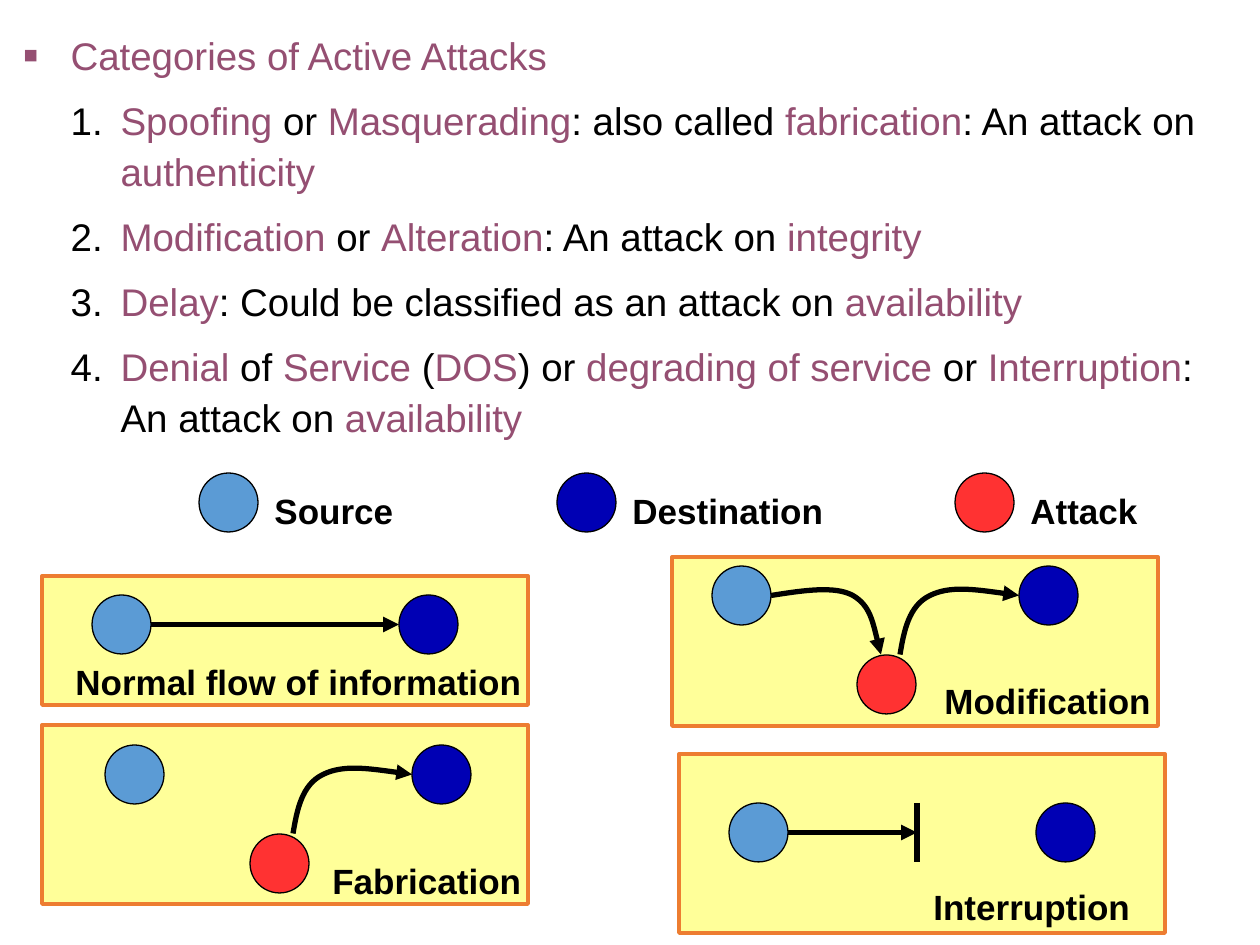
import pptx
import pptx.dml.color
import pptx.enum.shapes
import pptx.enum.text
import pptx.oxml
import pptx.oxml.ns
import pptx.util

EMU_PER_PX = 914400 / 126
FONT = "Arial"
BLACK, ACCENT = "000000", "954F72"
SOURCE, DESTINATION, ATTACK = "5B9BD5", "0000B4", "FF3232"
PANEL_FILL, PANEL_LINE = "FFFF99", "ED7D31"
CIRCLE = 59
RADIUS = CIRCLE / 2
DESTINATION_SHIFT = 307
ATTACK_SHIFT = (145, 89)
TO_ATTACK = [(0, 0), (32, -5), (64, -10), (82, 0), (99, 10), (104, 35), (110, 59)]
TO_DESTINATION = [(-119, 59), (-115, 35), (-110, 10), (-89, 0), (-69, -10), (-35, -5), (0, 0)]

HEADING = "*Categories of Active Attacks*"
ATTACKS = [
    "*Spoofing* or *Masquerading*: also called *fabrication*: An attack on *authenticity*",
    "*Modification* or *Alteration*: An attack on *integrity*",
    "*Delay*: Could be classified as an attack on *availability*",
    "*Denial* of *Service* (*DOS*) or *degrading of service* or *Interruption*: An attack on *availability*",
]
LEGEND = [(199, SOURCE, "Source", 145), (557, DESTINATION, "Destination", 218), (955, ATTACK, "Attack", 165)]


def px(*lengths):
    return [pptx.util.Emu(round(length * EMU_PER_PX)) for length in lengths]


def color(value):
    return pptx.dml.color.RGBColor.from_string(value)


def set_attributes(target, values):
    for name, value in values.items():
        setattr(target, name, value)


def add_xml(parent, markup):
    namespace = pptx.oxml.ns.nsdecls("a")
    tag, _, rest = markup.partition(" ")
    parent.append(pptx.oxml.parse_xml(f"<a:{tag} {namespace} {rest}/>"))


def add_run(paragraph, text, size, font_color, bold=False):
    run = paragraph.add_run()
    run.text = text
    set_attributes(run.font, {"name": FONT, "size": pptx.util.Pt(size), "bold": bold})
    run.font.color.rgb = color(font_color)


def format_line(shape, line_color, width, arrow=False):
    shape.line.color.rgb = color(line_color)
    shape.line.width = pptx.util.Pt(width)
    if arrow:
        add_xml(shape.element.spPr.find(pptx.oxml.ns.qn("a:ln")), 'tailEnd type="triangle"')


def add_outlined(shapes, kind, box, fill, line_color, width):
    shape = shapes.add_shape(kind, *px(*box))
    shape.shadow.inherit = False
    shape.fill.solid()
    shape.fill.fore_color.rgb = color(fill)
    format_line(shape, line_color, width)


def add_circle(shapes, left, top, fill):
    oval = pptx.enum.shapes.MSO_SHAPE.OVAL
    add_outlined(shapes, oval, (left, top, CIRCLE, CIRCLE), fill, BLACK, 0.75)


def add_label(shapes, text, left, top, width):
    frame = shapes.add_textbox(*px(left, top, width, 55)).text_frame
    frame.word_wrap = True
    add_run(frame.paragraphs[0], text, 20, BLACK, bold=True)


def add_straight(shapes, start, end, arrow=False):
    straight = pptx.enum.shapes.MSO_CONNECTOR.STRAIGHT
    connector = shapes.add_connector(straight, *px(*start, *end))
    format_line(connector, BLACK, 3, arrow)
    add_xml(connector.element.spPr, "effectLst")


def add_curve(shapes, origin, offsets):
    points = [px(origin[0] + x, origin[1] + y) for x, y in offsets]
    builder = shapes.build_freeform(*points[0])
    builder.add_line_segments(points[1:], close=False)
    shape = builder.convert_to_shape()
    shape.shadow.inherit = False
    shape.fill.background()
    format_line(shape, BLACK, 3, arrow=True)
    path = next(shape.element.iter(pptx.oxml.ns.qn("a:path")))
    segments = path.findall(pptx.oxml.ns.qn("a:lnTo"))
    for first in range(0, len(segments), 3):
        add_xml(path, "cubicBezTo")
        for segment in segments[first:first + 3]:
            path[-1].append(segment[0])
            path.remove(segment)


def add_panel(slide, box, source, label):
    shapes = slide.shapes.add_group_shape().shapes
    add_outlined(shapes, pptx.enum.shapes.MSO_SHAPE.RECTANGLE, box, PANEL_FILL, PANEL_LINE, 2.25)
    left, top = source
    add_circle(shapes, left, top, SOURCE)
    add_circle(shapes, left + DESTINATION_SHIFT, top, DESTINATION)
    add_label(shapes, *label)
    source_edge = (left + CIRCLE, top + RADIUS)
    destination_edge = (left + DESTINATION_SHIFT, top + RADIUS)
    return shapes, source_edge, destination_edge


def add_attack(shapes, source):
    add_circle(shapes, source[0] + ATTACK_SHIFT[0], source[1] + ATTACK_SHIFT[1], ATTACK)


def add_normal_flow(slide):
    label = ("Normal flow of information", 63, 654, 473)
    shapes, start, end = add_panel(slide, (42, 576, 486, 129), (92, 595), label)
    add_straight(shapes, start, end, arrow=True)


def add_interruption(slide):
    label = ("Interruption", 921, 879, 234)
    shapes, start, _ = add_panel(slide, (679, 754, 486, 179), (729, 803), label)
    barrier = start[0] + 129
    add_straight(shapes, start, (barrier, start[1]), arrow=True)
    add_straight(shapes, (barrier, start[1] - RADIUS), (barrier, start[1] + RADIUS))


def add_modification(slide):
    source = (712, 566)
    label = ("Modification", 932, 673, 266)
    shapes, start, end = add_panel(slide, (672, 557, 486, 169), source, label)
    add_attack(shapes, source)
    add_curve(shapes, start, TO_ATTACK)
    add_curve(shapes, end, TO_DESTINATION)


def add_fabrication(slide):
    source = (105, 745)
    label = ("Fabrication", 320, 853, 228)
    shapes, _, end = add_panel(slide, (42, 725, 486, 179), source, label)
    add_attack(shapes, source)
    add_curve(shapes, end, TO_DESTINATION)


def fill_paragraph(paragraph, text, level, margin, indent, bullet):
    set_attributes(paragraph, {"level": level, "line_spacing": 1.1, "space_before": pptx.util.Pt(8.2)})
    margin_emu, indent_emu = px(margin, indent)
    properties = paragraph._p.get_or_add_pPr()
    properties.set("marL", str(margin_emu))
    properties.set("indent", str(indent_emu))
    for markup in bullet:
        add_xml(properties, markup)
    bullet_color = ACCENT if level == 0 else BLACK
    fill = properties.find(pptx.oxml.ns.qn("a:buClr"))
    add_xml(fill, f'srgbClr val="{bullet_color}"')
    for index, part in enumerate(text.split("*")):
        if part:
            add_run(paragraph, part, 22, ACCENT if index % 2 else BLACK)


def add_list(slide):
    body = slide.placeholders[1]
    left, top, width, height = px(10, 21, 1208, 447)
    set_attributes(body, {"left": left, "top": top, "width": width, "height": height})
    frame = body.text_frame
    set_attributes(frame, {"word_wrap": True, "auto_size": pptx.enum.text.MSO_AUTO_SIZE.NONE})
    font = f'buFont typeface="{FONT}"'
    square = ["buClr", 'buSzPct val="120000"', font, 'buChar char="▪"']
    number = ["buClr", font, 'buAutoNum type="arabicPeriod"']
    fill_paragraph(frame.paragraphs[0], HEADING, 0, 48, -48, square)
    for attack in ATTACKS:
        fill_paragraph(frame.add_paragraph(), attack, 1, 98, -50, number)


def add_legend(slide):
    for left, fill, text, width in LEGEND:
        add_circle(slide.shapes, left, 473, fill)
        add_label(slide.shapes, text, left + 63, 483, width)


def main():
    presentation = pptx.Presentation()
    width, height = px(1260, 945)
    set_attributes(presentation, {"slide_width": width, "slide_height": height})
    slide = presentation.slides.add_slide(presentation.slide_layouts[1])
    title = slide.shapes.title.element
    title.getparent().remove(title)
    add_list(slide)
    add_normal_flow(slide)
    add_legend(slide)
    add_interruption(slide)
    add_modification(slide)
    add_fabrication(slide)
    presentation.save("out.pptx")


if __name__ == "__main__":
    main()
